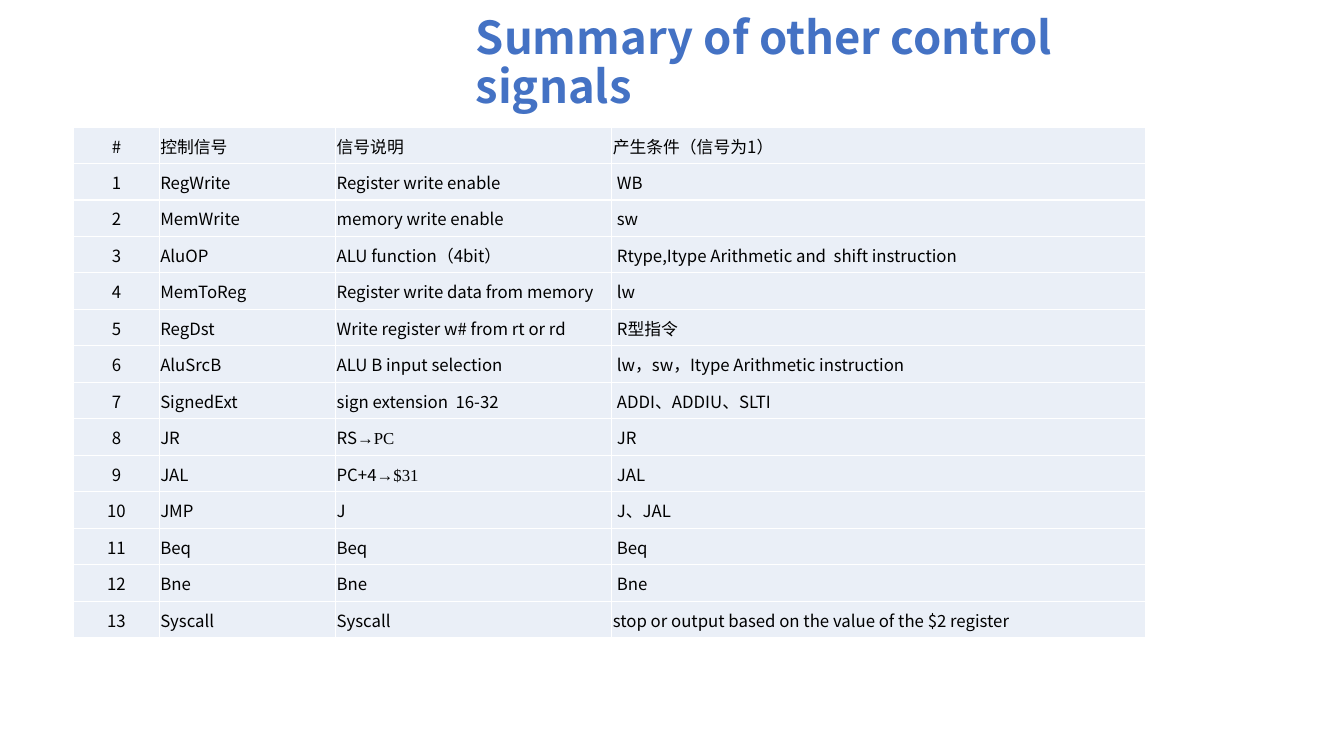
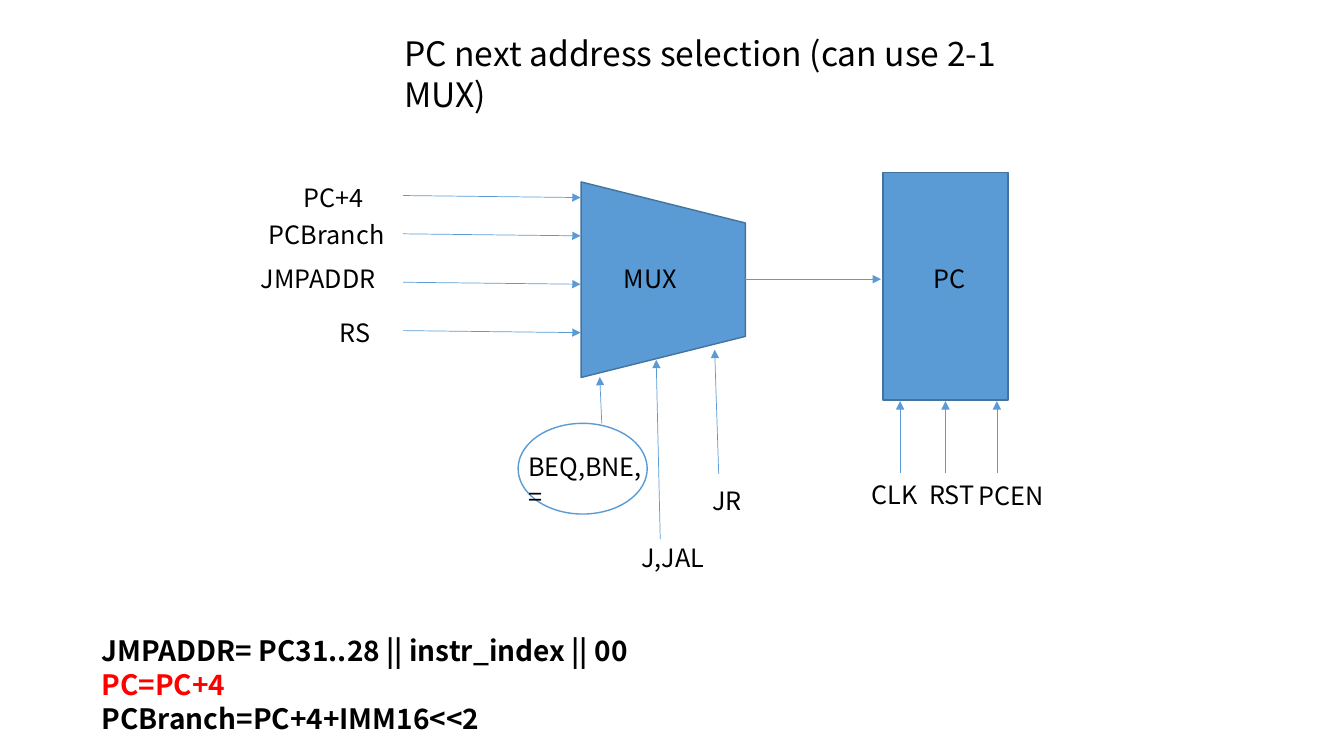
"""Build two slides: a control signal table and the selection of the next PC address."""
from lxml.etree import SubElement
from pptx import Presentation
from pptx.dml.color import RGBColor
from pptx.enum.shapes import MSO_CONNECTOR as Connector, MSO_SHAPE as Preset
from pptx.enum.text import MSO_ANCHOR as Anchor, MSO_AUTO_SIZE as AutoSize, PP_ALIGN as Align
from pptx.oxml.ns import qn
from pptx.util import Inches, Pt

GRID = Inches(0.1)
COLUMNS, ROWS = 133.33, 75
SANS, SERIF = "Noto Sans CJK SC", "Times New Roman"
BLACK, RED, TITLE_BLUE = "000000", "FF0000", "4472C4"
FILL_BLUE, EDGE_BLUE, CELL_BLUE = "5B9BD5", "43739E", "EAEFF7"
color = RGBColor.from_string


def place(*cells):
    return [int(GRID * cell) for cell in cells]


def write(paragraph, text, size, ink=BLACK, bold=False, name=SANS):
    run = paragraph.add_run()
    run.text = text
    for attribute, value in {"size": Pt(size), "bold": bold, "name": name}.items():
        setattr(run.font, attribute, value)
    run.font.color.rgb = color(ink)
    SubElement(run._r.get_or_add_rPr(), qn("a:ea"), typeface=name)


presentation = Presentation()
presentation.slide_width, presentation.slide_height = place(COLUMNS, ROWS)

titles = [
    ("Summary of other control signals", (46.2, 2.5, 67.4, 7.7), Anchor.MIDDLE, 0.9,
     {"size": 32.4, "ink": TITLE_BLUE, "bold": True}),
    ("PC next address selection (can use 2-1 MUX)", (39.1, 2.8, 65.7, 5), Anchor.TOP, 1.0,
     {"size": 24}),
]
slides = []
for text, cells, anchor, spacing, style in titles:
    slide = presentation.slides.add_slide(presentation.slide_layouts[5])
    title = slide.shapes.title
    title.left, title.top, title.width, title.height = place(*cells)
    frame = title.text_frame
    for attribute, value in {"word_wrap": True, "auto_size": AutoSize.NONE,
                             "vertical_anchor": anchor}.items():
        setattr(frame, attribute, value)
    paragraph = frame.paragraphs[0]
    paragraph.alignment, paragraph.line_spacing = Align.LEFT, spacing
    write(paragraph, text, **style)
    slides.append(slide)
table_slide, diagram_slide = slides

signals = [
    ("#", "控制信号", "信号说明", "产生条件（信号为1）"),
    ("1", "RegWrite", "Register write enable", "WB"),
    ("2", "MemWrite", "memory write enable", "sw"),
    ("3", "AluOP", "ALU function（4bit）", "Rtype,Itype Arithmetic and  shift instruction"),
    ("4", "MemToReg", "Register write data from memory", "lw"),
    ("5", "RegDst", "Write register w# from rt or rd", "R型指令"),
    ("6", "AluSrcB", "ALU B input selection", "lw，sw，Itype Arithmetic instruction"),
    ("7", "SignedExt", "sign extension  16-32", "ADDI、ADDIU、SLTI"),
    ("8", "JR", "RS→PC", "JR"),
    ("9", "JAL", "PC+4→$31", "JAL"),
    ("10", "JMP", "J", "J、JAL"),
    ("11", "Beq", "Beq", "Beq"),
    ("12", "Bne", "Bne", "Bne"),
    ("13", "Syscall", "Syscall", "stop or output based on the value of the $2 register"),
]
column_widths = (8.5, 17.5, 27.4, 53)
table = table_slide.shapes.add_table(
    len(signals), len(column_widths), *place(7.3, 12.6, sum(column_widths), 50.7)).table
table.first_row = table.horz_banding = False
for column, width in zip(table.columns, column_widths):
    column.width = int(GRID * width)
for row_index, signal in enumerate(signals):
    for column_index, text in enumerate(signal):
        cell = table.cell(row_index, column_index)
        indented = column_index == 3 and 0 < row_index < len(signals) - 1
        for attribute, value in {"margin_left": Inches(0.05 if indented else 0.01),
                                 "margin_right": Inches(0.01), "margin_top": Inches(0.01),
                                 "margin_bottom": 0, "vertical_anchor": Anchor.MIDDLE}.items():
            setattr(cell, attribute, value)
        cell.fill.solid()
        cell.fill.fore_color.rgb = color(CELL_BLUE)
        paragraph = cell.text_frame.paragraphs[0]
        paragraph.alignment = Align.LEFT if column_index else Align.CENTER
        source, arrow, target = text.partition("→")
        write(paragraph, source, 12)
        if arrow:
            write(paragraph, arrow + target, 12, name=SERIF)

blocks = [
    (Preset.RECTANGLE, (87.6, 17.1, 12.4, 22.6), 0, FILL_BLUE, EDGE_BLUE),
    (Preset.TRAPEZOID, (56.1, 19.6, 19.4, 16.3), 90, FILL_BLUE, EDGE_BLUE),
    (Preset.OVAL, (51.4, 42, 12.8, 9), 0, None, FILL_BLUE),
]
for preset, cells, rotation, fill, edge in blocks:
    shape = diagram_slide.shapes.add_shape(preset, *place(*cells))
    shape.rotation = rotation
    shape.shadow.inherit = False
    if fill:
        shape.fill.solid()
        shape.fill.fore_color.rgb = color(fill)
    else:
        shape.fill.background()
    shape.line.color.rgb = color(edge)
    shape.line.width = Pt(1)

input_arrows = [(40, row, 57.6, row + 0.2) for row in (19.4, 23.2, 28, 32.8)]
select_arrows = [(59.7, 42, 59.5, 37.4), (65.5, 53.5, 65.1, 35.7), (71.3, 47, 70.9, 34.7)]
register_arrows = [(column, 46.9, column, 39.8) for column in (89.3, 93.8, 98.9)]
output_arrow = (73.9, 27.7, 87.4, 27.7)
for ends in [*input_arrows, *select_arrows, *register_arrows, output_arrow]:
    connector = diagram_slide.shapes.add_connector(Connector.STRAIGHT, *place(*ends))
    connector.line.color.rgb = color(FILL_BLUE)
    connector.line.width = Pt(0.5)
    SubElement(connector.line._get_or_add_ln(), qn("a:tailEnd"), type="triangle")
    SubElement(connector._element.spPr, qn("a:effectLst"))

labels = [
    ("PC+4", 29.1, 17.6, 14.9), ("PCBranch", 25.7, 21.3, 28.1),
    ("JMPADDR", 24.9, 25.6, 21.1), ("RS", 32.7, 31, 7.7),
    ("MUX", 60.9, 25.6, 8.6), ("PC", 91.6, 25.6, 14.9),
    ("BEQ,BNE,=", 51.4, 44.3, 13.9), ("J,JAL", 62.7, 53.3, 13.9), ("JR", 69.7, 47.7, 13.9),
    ("CLK", 85.5, 47.1, 8.6), ("RST", 91.2, 47.1, 8.6), ("PCEN", 96.1, 47.2, 8.6),
]
for text, left, top, width in labels:
    label = diagram_slide.shapes.add_textbox(*place(left, top, width, 4))
    label.text_frame.word_wrap = True
    write(label.text_frame.paragraphs[0], text, 18)

formulas = [
    ("JMPADDR= PC31..28 || instr_index || 00", BLACK),
    ("PC=PC+4", RED),
    ("PCBranch=PC+4+IMM16<<2", BLACK),
]
frame = diagram_slide.shapes.add_textbox(*place(9.1, 62.4, 67.1, 11.1)).text_frame
frame.word_wrap = True
for index, (text, ink) in enumerate(formulas):
    paragraph = frame.add_paragraph() if index else frame.paragraphs[0]
    write(paragraph, text, 20, ink, bold=True)

presentation.save("out.pptx")
